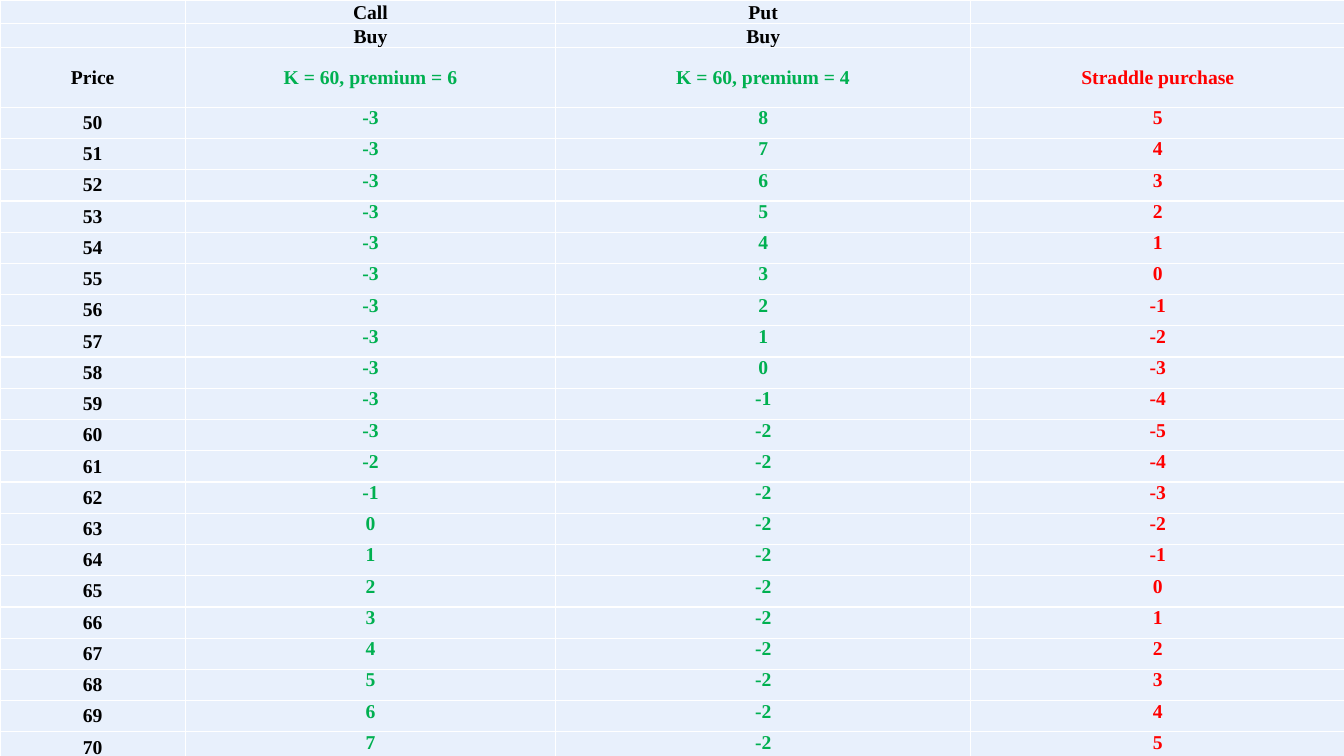
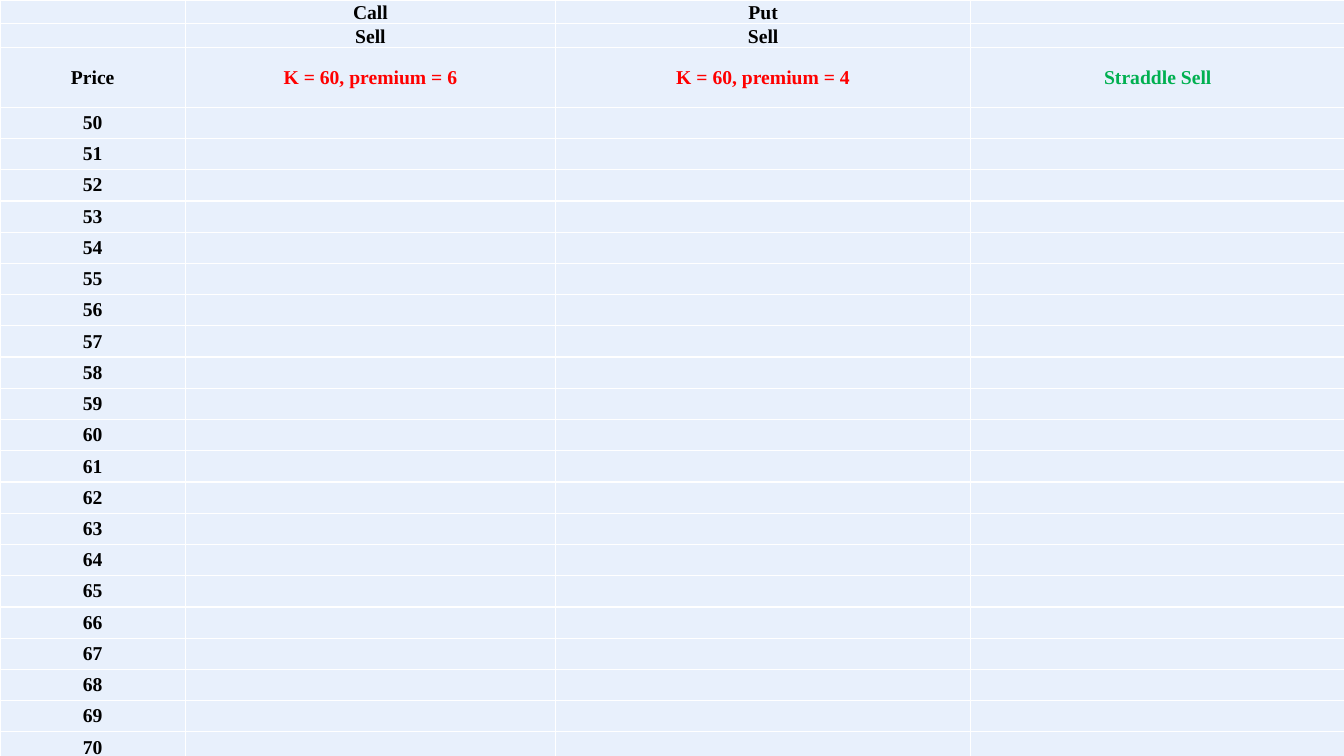
from lxml import etree
from pptx import Presentation
from pptx import util as u
from pptx.dml.color import RGBColor
from pptx.enum import text
from pptx.oxml.ns import qn

# Shared look
FONT, SIZE = "Times New Roman", 14
BLACK, WHITE, GREY = "000000", "FFFFFF", "B9B9B9"
GREEN, RED, PALE_BLUE = "00B050", "FF0000", "E8F0FC"
TOP, MIDDLE, BOTTOM = (text.MSO_ANCHOR.TOP, text.MSO_ANCHOR.MIDDLE,
                       text.MSO_ANCHOR.BOTTOM)

# Table grid
COLUMNS = [1.84, 3.67, 4.12, 3.71]
HEADER_ROWS = [0.19, 0.2, 0.59]
PRICE_ROW = 0.31

# Option terms
PRICES = range(50, 71)
STRIKE, CALL_COST, PUT_COST = 60, 3, 2


def rgb(value):
    return RGBColor.from_string(value)


def set_background(master):
    fill = master.background.fill
    fill.gradient()
    fill.gradient_angle = 270
    for stop, color in zip(fill.gradient_stops, (WHITE, GREY)):
        stop.color.rgb = rgb(color)


def write(cell, content, color=BLACK, size=SIZE, bold=True, anchor=TOP):
    cell.vertical_anchor = anchor
    p = cell.text_frame.paragraphs[0]
    p.alignment = text.PP_ALIGN.CENTER
    if content == "":
        # An empty cell still needs a font size to keep its row low
        etree.SubElement(p._p, qn("a:endParaRPr"), sz=str(size * 100))
        return
    r = p.add_run()
    r.text = str(content)
    r.font.name, r.font.size, r.font.bold = FONT, u.Pt(size), bold
    r.font.color.rgb = rgb(color)


def style_cell(cell):
    cell.margin_left = cell.margin_right = 0
    cell.margin_top = cell.margin_bottom = 0
    tc_pr = cell._tc.get_or_add_tcPr()
    for side in ("a:lnL", "a:lnR", "a:lnT", "a:lnB"):
        line = etree.SubElement(tc_pr, qn(side), w=str(u.Pt(1)))
        solid = etree.SubElement(line, qn("a:solidFill"))
        etree.SubElement(solid, qn("a:srgbClr"), val=WHITE)
    cell.fill.solid()
    cell.fill.fore_color.rgb = rgb(PALE_BLUE)


def buyer_payoffs(price):
    call = max(price - STRIKE, 0) - CALL_COST
    put = max(STRIKE - price, 0) - PUT_COST
    return [call, put, call + put]


def add_straddle_slide(prs, action, result, leg_color, result_color, payoffs):
    s = prs.slides.add_slide(prs.slide_layouts[6])
    heights = HEADER_ROWS + [PRICE_ROW] * len(PRICES)
    table = s.shapes.add_table(
        len(heights), len(COLUMNS), 0, 0,
        u.Inches(sum(COLUMNS)), u.Inches(sum(heights))).table
    table.first_row = table.horz_banding = False
    for column, width in zip(table.columns, COLUMNS):
        column.width = u.Inches(width)
    for row, height in zip(table.rows, heights):
        row.height = u.Inches(height)

    # Headings, then one row for each price
    rows = [["", "Call", "Put", ""],
            ["", action, action, ""],
            ["Price", "K = 60, premium = 6", "K = 60, premium = 4", result]]
    rows += [[price] + payoffs(price) for price in PRICES]
    column_colors = [BLACK, leg_color, leg_color, result_color]

    for i, values in enumerate(rows):
        for j, value in enumerate(values):
            cell = table.cell(i, j)
            style_cell(cell)
            if i < 2:
                write(cell, value, anchor=BOTTOM)
            else:
                write(cell, value, color=column_colors[j],
                      anchor=MIDDLE if i == 2 or j == 0 else TOP)


def main():
    prs = Presentation()
    prs.slide_width, prs.slide_height = u.Inches(13.33), u.Inches(7.5)
    set_background(prs.slide_master)
    add_straddle_slide(prs, "Buy", "Straddle purchase", GREEN, RED,
                       buyer_payoffs)
    # The seller's table is left blank to be filled in
    add_straddle_slide(prs, "Sell", "Straddle Sell", RED, GREEN,
                       lambda price: [""] * 3)
    prs.save("out.pptx")


if __name__ == "__main__":
    main()
